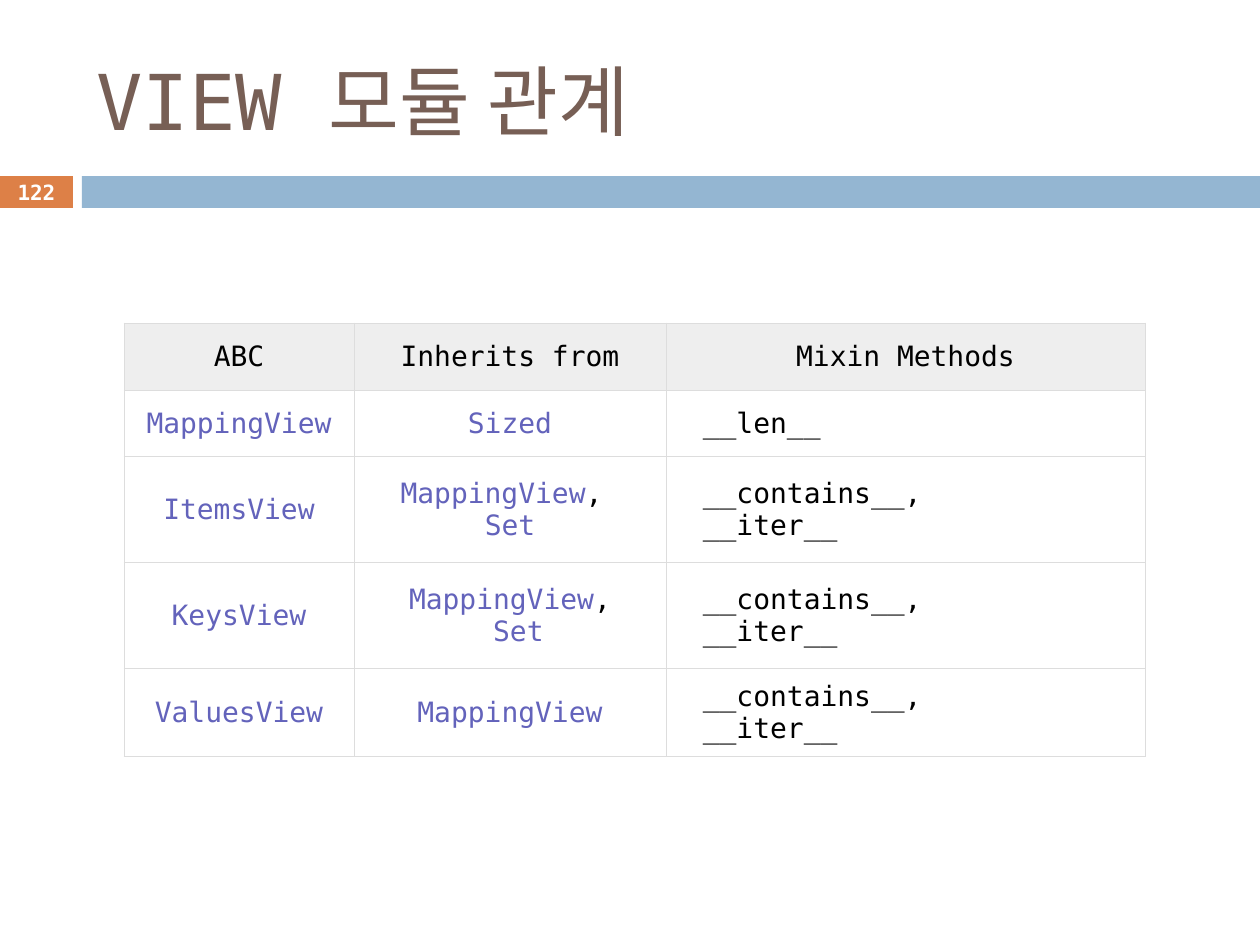
from lxml import etree
from pptx import Presentation
from pptx.dml.color import RGBColor
from pptx.enum.shapes import MSO_SHAPE
from pptx.enum.text import MSO_ANCHOR, PP_ALIGN
from pptx.oxml.ns import qn
from pptx.util import Pt

RECT = MSO_SHAPE.RECTANGLE
MIDDLE = MSO_ANCHOR.MIDDLE
LEFT, CENTER = PP_ALIGN.LEFT, PP_ALIGN.CENTER
FONT = "DejaVu Sans Mono"
BLACK, WHITE, LINK = "000000", "FFFFFF", "6363BB"
HEAD, RULE = "EEEEEE", "DDDDDD"

TITLE = "VIEW 모듈 관계"
PAGE = "122"
# Each cell is a list of lines; the lines keep their no-break spaces.
PAIR = ["__contains__, ", "__iter__"]
ROWS = [
    [["ABC"], ["Inherits from"], ["Mixin Methods"]],
    [["MappingView"], ["Sized"], ["__len__"]],
    [["ItemsView"], ["MappingView, ", "Set"], PAIR],
    [["KeysView"], ["MappingView,", " Set"], PAIR],
    [["ValuesView"], ["MappingView"], PAIR],
]
WIDTHS = [230, 312, 479]
HEIGHTS = [67, 67, 106, 106, 88]
INDENT = 37


def px(n):
    return round(n * 914400 / 126)


def box(x, y, w, h):
    return px(x), px(y), px(w), px(h)


def rgb(code):
    return RGBColor.from_string(code)


def style(run, size, color, bold=False):
    font = run.font
    font.name, font.size, font.bold = FONT, Pt(size), bold
    font.color.rgb = rgb(color)


def bar(slide, x, w, color):
    shape = slide.shapes.add_shape(RECT, *box(x, 176, w, 32))
    shape.shadow.inherit = False
    shape.fill.solid()
    shape.fill.fore_color.rgb = rgb(color)
    shape.line.fill.background()
    return shape


def frame(cell, color):
    """Draw a thin line on all four sides of a cell."""
    props = cell._tc.get_or_add_tcPr()
    for i, side in enumerate(("a:lnL", "a:lnR", "a:lnT", "a:lnB")):
        line = etree.Element(qn(side), w=str(Pt(0.6)))
        fill = etree.SubElement(line, qn("a:solidFill"))
        etree.SubElement(fill, qn("a:srgbClr"), val=color)
        props.insert(i, line)


def write(cell, lines, align, color):
    """Write the lines, with any comma and what follows it in black."""
    cell.text_frame.text = "\n".join(lines)
    for para, line in zip(cell.text_frame.paragraphs, lines):
        para.alignment = align
        name, comma, rest = line.partition(",")
        para.runs[0].text = name
        style(para.runs[0], 16, color)
        if comma:
            run = para.add_run()
            run.text = comma + rest
            style(run, 16, BLACK)


def grid(slide):
    shape = slide.shapes.add_table(
        len(ROWS), len(WIDTHS), *box(124, 323, sum(WIDTHS), sum(HEIGHTS)))
    table = shape.table
    for col, width in zip(table.columns, WIDTHS):
        col.width = px(width)
    for r, (row, height) in enumerate(zip(ROWS, HEIGHTS)):
        table.rows[r].height = px(height)
        for c, lines in enumerate(row):
            cell = table.cell(r, c)
            head, method = r == 0, r > 0 and c == 2
            cell.fill.solid()
            cell.fill.fore_color.rgb = rgb(HEAD if head else WHITE)
            cell.vertical_anchor = MIDDLE
            cell.margin_left = px(INDENT if method else 4)
            cell.margin_right = px(4)
            cell.margin_top = cell.margin_bottom = px(1)
            write(cell, lines, LEFT if method else CENTER,
                  BLACK if head or method else LINK)
            frame(cell, RULE)


def main():
    deck = Presentation()
    deck.slide_width, deck.slide_height = px(1260), px(945)
    slide = deck.slides.add_slide(deck.slide_layouts[5])

    title = slide.shapes.title
    title.left, title.top, title.width, title.height = box(84, 32, 1124, 136)
    text = title.text_frame
    text.text = TITLE
    text.vertical_anchor = MIDDLE
    text.paragraphs[0].alignment = LEFT
    style(text.paragraphs[0].runs[0], 44, "775F55")

    bar(slide, 82, 1178, "94B6D2")
    text = bar(slide, 0, 73, "DD8047").text_frame
    text.margin_left = text.margin_right = 0
    text.margin_top = text.margin_bottom = 0
    text.vertical_anchor = MIDDLE
    text.text = PAGE
    text.paragraphs[0].alignment = CENTER
    style(text.paragraphs[0].runs[0], 12, WHITE, True)

    grid(slide)
    deck.save("out.pptx")


if __name__ == "__main__":
    main()
